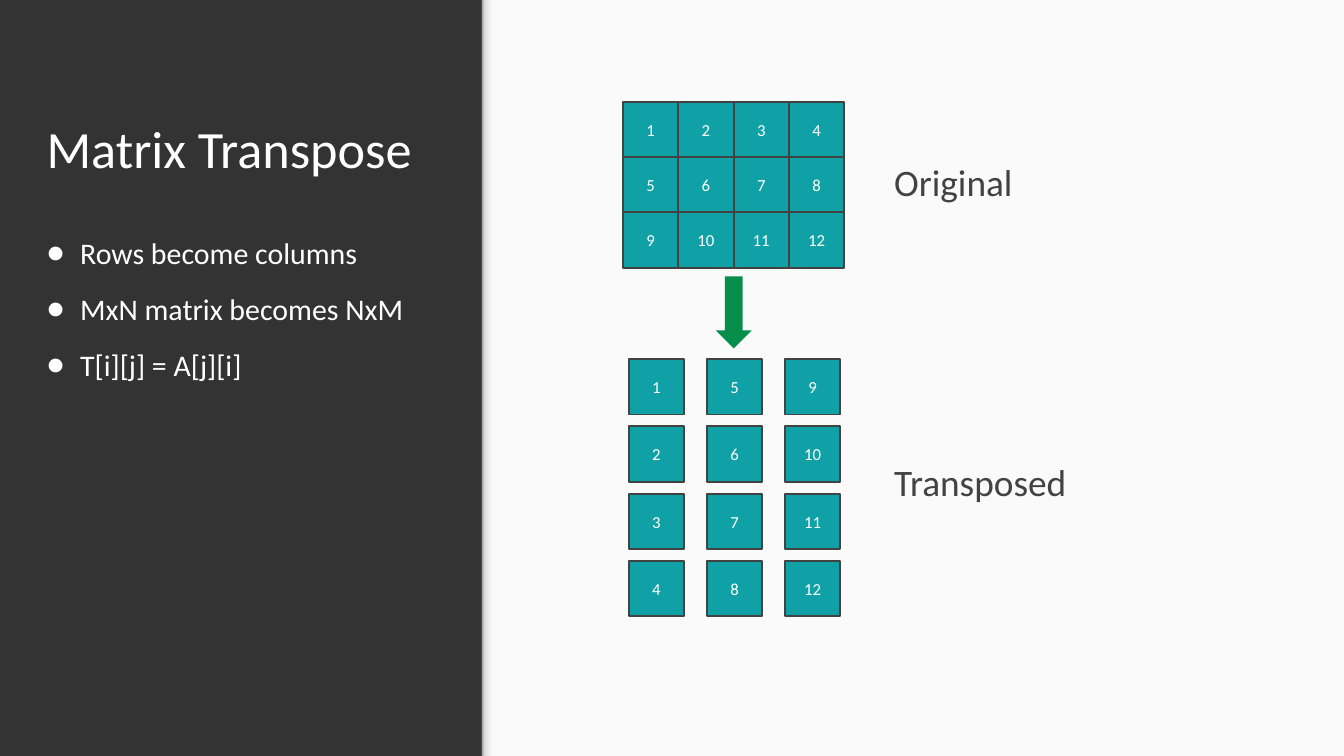
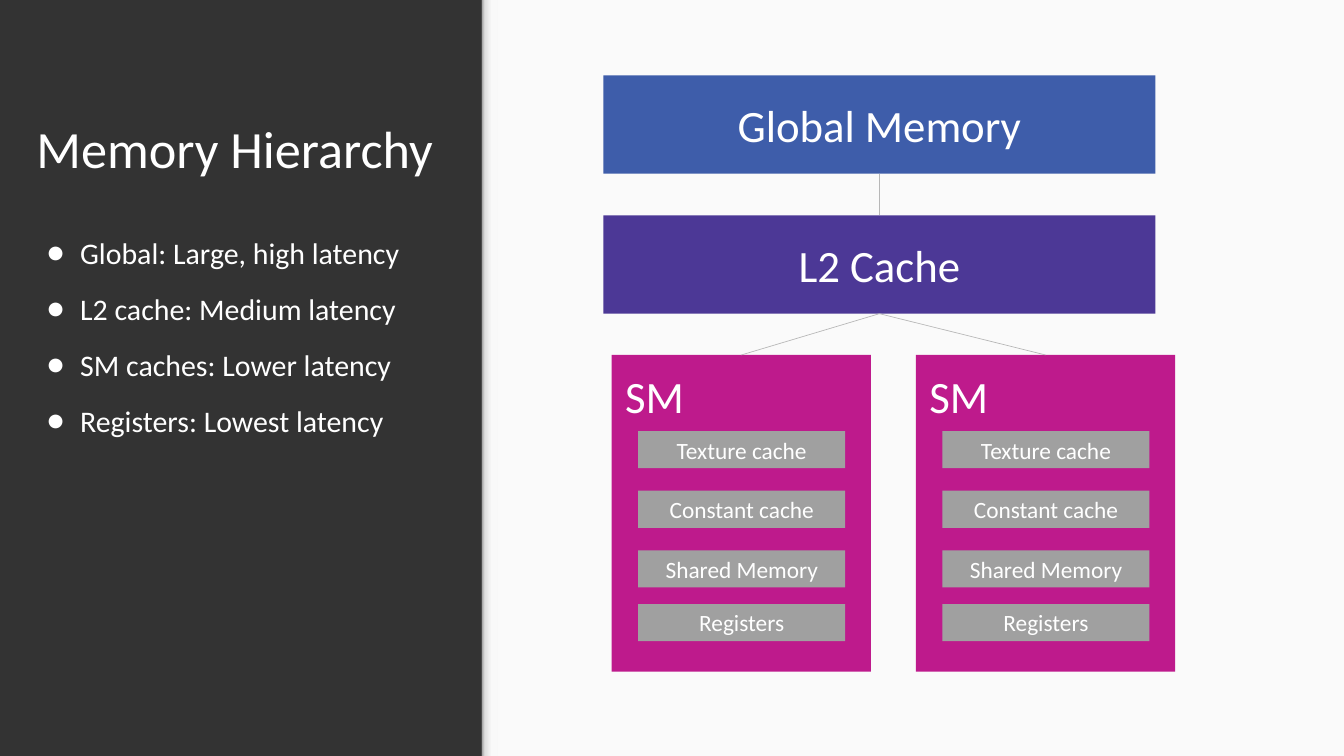
from lxml import etree
from pptx import Presentation
from pptx.dml.color import RGBColor
from pptx.enum.shapes import MSO_CONNECTOR, MSO_SHAPE
from pptx.enum.text import MSO_ANCHOR, MSO_AUTO_SIZE, PP_ALIGN
from pptx.oxml.ns import qn
from pptx.util import Cm, Pt

RECTANGLE, DOWN_ARROW = MSO_SHAPE.RECTANGLE, MSO_SHAPE.DOWN_ARROW
STRAIGHT = MSO_CONNECTOR.STRAIGHT
TOP, MIDDLE, BOTTOM = MSO_ANCHOR.TOP, MSO_ANCHOR.MIDDLE, MSO_ANCHOR.BOTTOM
LEFT, CENTER = PP_ALIGN.LEFT, PP_ALIGN.CENTER
GROW = MSO_AUTO_SIZE.SHAPE_TO_FIT_TEXT
SITE_TOP, SITE_BOTTOM = 0, 2

# Colours and font
CHARCOAL = RGBColor(0x33, 0x33, 0x33)
PAPER = RGBColor(0xFA, 0xFA, 0xFA)
WHITE = RGBColor(0xFF, 0xFF, 0xFF)
INK = RGBColor(0x42, 0x42, 0x42)
TEAL = RGBColor(0x10, 0xA1, 0xA6)
GREEN = RGBColor(0x07, 0x8E, 0x4A)
BLUE = RGBColor(0x3E, 0x5D, 0xAA)
PURPLE = RGBColor(0x4C, 0x38, 0x96)
MAGENTA = RGBColor(0xBE, 0x1A, 0x8C)
GREY = RGBColor(0xA0, 0xA0, 0xA0)
LINK_GREY = RGBColor(0xB7, 0xB7, 0xB7)
EDGE_STOPS = [
    (0, RGBColor(0x99, 0x99, 0x99)),
    (20, RGBColor(0xDE, 0xDE, 0xDE)),
    (64, RGBColor(0xF9, 0xF9, 0xF9)),
    (100, RGBColor(0xF9, 0xF9, 0xF9)),
]
FONT = "Calibri"

# Content
TRANSPOSE = {
    "title": "Matrix Transpose",
    "title_span": (1.25, 15.6),
    "points": ["Rows become columns", "MxN matrix becomes NxM", "T[i][j] = A[j][i]"],
}
HIERARCHY = {
    "title": "Memory Hierarchy",
    "title_span": (0.87, 16.36),
    "points": [
        "Global: Large, high latency",
        "L2 cache: Medium latency",
        "SM caches: Lower latency",
        "Registers: Lowest latency",
    ],
}
MATRIX = [[1, 2, 3, 4], [5, 6, 7, 8], [9, 10, 11, 12]]
MATRIX_LABELS = [("Original", 5.87, 5.18), ("Transposed", 17.2, 7.62)]
MEMORY_BARS = [("Global Memory", BLUE, 2.85), ("L2 Cache", PURPLE, 8.14)]
SM_LEFTS = [23.12, 34.62]
SM_PARTS = [
    ("Texture cache", 16.29),
    ("Constant cache", 18.54),
    ("Shared Memory", 20.79),
    ("Registers", 22.82),
]

# Shared measures, in cm
SLIDE_W, SLIDE_H = 50.8, 28.56
PANEL_LEFT, EDGE_W = 18.21, 0.6
CELL = 2.09
SMALL_INSETS, WIDE_INSETS = (0.25, 0.13), (0.51, 0.51)


def set_all(target, values):
    for name, value in values.items():
        setattr(target, name, value)


def write(shape, lines, size, color=WHITE, align=LEFT, anchor=TOP,
          insets=SMALL_INSETS):
    frame = shape.text_frame
    across, down = (Cm(inset) for inset in insets)
    set_all(frame, {
        "word_wrap": True, "vertical_anchor": anchor,
        "margin_left": across, "margin_right": across,
        "margin_top": down, "margin_bottom": down,
    })
    frame.text = "\n".join(lines)
    for paragraph in frame.paragraphs:
        paragraph.alignment = align
        set_all(paragraph.runs[0].font, {"name": FONT, "size": Pt(size)})
        paragraph.runs[0].font.color.rgb = color
    return frame


def add_block(slide, box, fill, kind=RECTANGLE, outline=None):
    block = slide.shapes.add_shape(kind, *map(Cm, box))
    block.shadow.inherit = False
    block.fill.solid()
    block.fill.fore_color.rgb = fill
    if outline is None:
        block.line.fill.background()
    else:
        block.line.color.rgb = outline
        block.line.width = Pt(2)
    return block


def add_text(slide, box, lines, size, **style):
    return write(slide.shapes.add_textbox(*map(Cm, box)), lines, size, **style)


def add_bullet(paragraph):
    set_all(paragraph, {"line_spacing": 1.15, "space_after": Pt(16)})
    properties = paragraph._p.get_or_add_pPr()
    indent = Cm(1.27)
    properties.set("marL", str(indent))
    properties.set("indent", str(-indent))
    color = etree.SubElement(properties, qn("a:buClr"))
    etree.SubElement(color, qn("a:srgbClr"), val=str(WHITE))
    etree.SubElement(properties, qn("a:buFont"), typeface=FONT)
    etree.SubElement(properties, qn("a:buChar"), char="●")


def add_edge_shade(slide):
    shade = add_block(slide, (PANEL_LEFT, 0, EDGE_W, SLIDE_H), PAPER)
    shade.fill.gradient()
    shade.fill.gradient_angle = 0
    stops = shade._element.spPr.find(qn("a:gradFill")).find(qn("a:gsLst"))
    stops.clear()
    for percent, color in EDGE_STOPS:
        stop = etree.SubElement(stops, qn("a:gs"), pos=str(percent * 1000))
        etree.SubElement(stop, qn("a:srgbClr"), val=str(color))


def add_link(slide, upper, lower):
    link = slide.shapes.add_connector(STRAIGHT, 0, 0, 0, 0)
    link.begin_connect(upper, SITE_BOTTOM)
    link.end_connect(lower, SITE_TOP)
    link.line.color.rgb = LINK_GREY
    link.line.width = Pt(0.75)
    etree.SubElement(link._element.spPr, qn("a:effectLst"))


def add_topic_slide(deck, topic):
    """Dark side with title and points, light panel for the diagram."""
    slide = deck.slides.add_slide(deck.slide_layouts[6])
    slide.background.fill.solid()
    slide.background.fill.fore_color.rgb = CHARCOAL
    add_block(slide, (PANEL_LEFT, 0, SLIDE_W - PANEL_LEFT, SLIDE_H), PAPER)
    add_edge_shade(slide)
    left, width = topic["title_span"]
    add_text(slide, (left, 1.98, width, 5.28), [topic["title"]], 56,
             anchor=BOTTOM, insets=WIDE_INSETS)
    points = add_text(slide, (1.25, 8.14, 15.6, 4.6), topic["points"], 32,
                      insets=WIDE_INSETS)
    for paragraph in points.paragraphs:
        add_bullet(paragraph)
    return slide


def add_matrix(slide, rows, left, top, step_x, step_y):
    for i, row in enumerate(rows):
        for j, number in enumerate(row):
            box = (left + j * step_x, top + i * step_y, CELL, CELL)
            cell = add_block(slide, box, TEAL, outline=INK)
            write(cell, [str(number)], 18, align=CENTER, anchor=MIDDLE)


deck = Presentation()
set_all(deck, {"slide_width": Cm(SLIDE_W), "slide_height": Cm(SLIDE_H)})

# Matrix transpose
slide = add_topic_slide(deck, TRANSPOSE)
add_matrix(slide, MATRIX, 23.55, 3.84, CELL, CELL)
add_block(slide, (27.06, 10.44, 1.35, 2.72), GREEN, kind=DOWN_ARROW)
add_matrix(slide, zip(*MATRIX), 23.77, 13.57, 2.95, 2.54)
for label, top, width in MATRIX_LABELS:
    add_text(slide, (33.55, top, width, 1.96), [label], 40, color=INK).auto_size = GROW

# Memory hierarchy
slide = add_topic_slide(deck, HIERARCHY)
bars = []
for label, color, top in MEMORY_BARS:
    bar = add_block(slide, (22.81, top, 20.86, 3.71), color)
    write(bar, [label], 48, align=CENTER, anchor=MIDDLE, insets=WIDE_INSETS)
    bars.append(bar)
global_memory, l2_cache = bars
add_link(slide, global_memory, l2_cache)
for left in SM_LEFTS:
    multiprocessor = add_block(slide, (left, 13.41, 9.8, 11.96), MAGENTA)
    write(multiprocessor, ["SM"], 48, insets=WIDE_INSETS)
    add_link(slide, l2_cache, multiprocessor)
    for label, top in SM_PARTS:
        part = add_block(slide, (left + 1, top, 7.83, 1.4), GREY)
        write(part, [label], 25, align=CENTER, anchor=MIDDLE)

deck.save("out.pptx")
